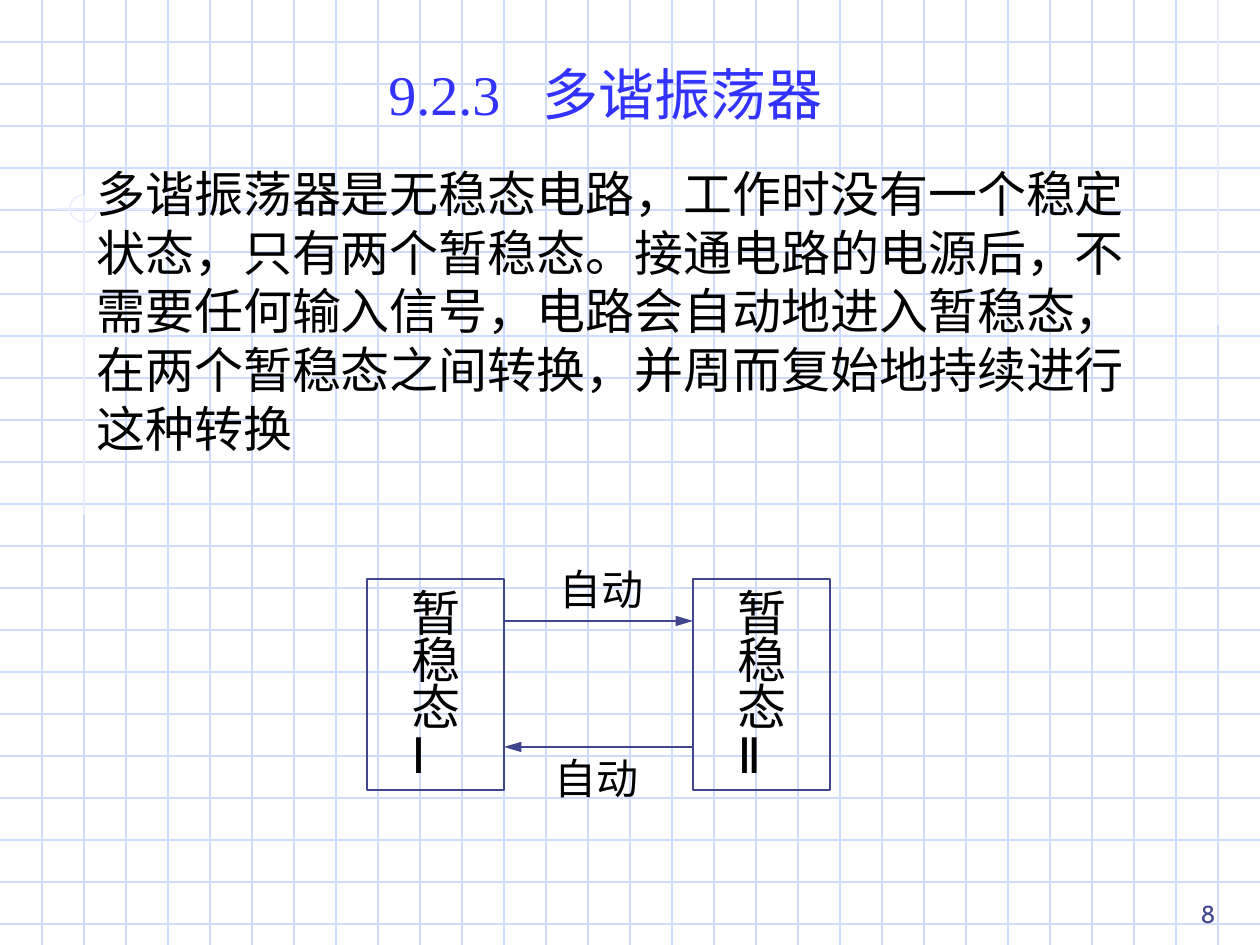
from dataclasses import dataclass

from lxml.etree import SubElement
from pptx import Presentation
from pptx.dml.color import RGBColor
from pptx.enum.shapes import MSO_CONNECTOR, MSO_SHAPE
from pptx.enum.text import MSO_ANCHOR, MSO_AUTO_SIZE, PP_ALIGN
from pptx.oxml.ns import qn
from pptx.util import Inches, Pt

PX = Inches(1) / 126
WIDTH, HEIGHT, STEP = 1260, 945, 42
COLORS = {"grid": "CFDBFD", "mark": "E8ECFE", "ink": "40458C",
          "title": "3333FF", "text": "000000"}
SANS, SERIF = "Cabin", "Times New Roman"


def px(*values):
    return [round(v * PX) for v in values]


@dataclass
class Sketch:
    slide: object

    def stroke(self, shape, color, weight):
        shape.line.color.rgb = RGBColor.from_string(COLORS[color])
        shape.line.width = Pt(weight)

    def line(self, x1, y1, x2, y2, color, arrow=False):
        s = self.slide.shapes.add_connector(MSO_CONNECTOR.STRAIGHT, *px(x1, y1, x2, y2))
        self.stroke(s, color, 0.75)
        if arrow:
            SubElement(s.line._get_or_add_ln(), qn("a:tailEnd"),
                       type="triangle", w="med", len="lg")
        SubElement(s._element.spPr, qn("a:effectLst"))

    def outline(self, kind, x, y, w, h, color, weight):
        s = self.slide.shapes.add_shape(kind, *px(x, y, w, h))
        s.shadow.inherit = False
        s.fill.background()
        self.stroke(s, color, weight)
        return s

    def text(self, text, x, y, w, h, size, font=SANS, color="text",
             align=None, anchor=MSO_ANCHOR.TOP, spacing=None, tab=None):
        tf = self.slide.shapes.add_textbox(*px(x, y, w, h)).text_frame
        tf.text = text
        tf.word_wrap = True
        tf.auto_size = MSO_AUTO_SIZE.NONE
        tf.vertical_anchor = anchor
        for p in tf.paragraphs:
            p.alignment = align
            p.line_spacing = spacing
            if tab:
                tabs = SubElement(p._p.get_or_add_pPr(), qn("a:tabLst"))
                SubElement(tabs, qn("a:tab"), pos=str(px(tab)[0]), algn="l")
            for r in p.runs:
                r.font.size = Pt(size)
                r.font.name = font
                r.font.color.rgb = RGBColor.from_string(COLORS[color])

    def background(self):
        for y in range(STEP, HEIGHT, STEP):
            self.line(0, y, WIDTH, y, "grid")
        for x in range(STEP, WIDTH, STEP):
            self.line(x, 0, x, HEIGHT, "grid")
        self.line(1218, 0, 1218, 325, "mark")
        self.line(302, 209, 57, 209, "mark")
        self.line(84, 195, 84, 515, "mark")
        arc = self.outline(MSO_SHAPE.ARC, 70, 195, 27, 27, "mark", 0.75)
        arc.adjustments[0] = 0
        arc.adjustments[1] = 162

    def state(self, x, numeral):
        self.outline(MSO_SHAPE.RECTANGLE, x, 579, 137, 211, "ink", 1.5)
        self.text("\n".join("暂稳态" + numeral), x + 32, 588, 80, 202, 28, spacing=0.8)


def main():
    prs = Presentation()
    prs.slide_width, prs.slide_height = px(WIDTH, HEIGHT)
    sketch = Sketch(prs.slides.add_slide(prs.slide_layouts[6]))

    sketch.background()
    sketch.text("9.2.3\t多谐振荡器", 376, 53, 480, 81, 32, SERIF, "title", tab=154)
    sketch.text("多谐振荡器是无稳态电路，工作时没有一个稳定状态，只有两个暂稳态。"
                "接通电路的电源后，不需要任何输入信号，电路会自动地进入暂稳态，"
                "在两个暂稳态之间转换，并周而复始地持续进行这种转换",
                84, 157, 1092, 307, 28)

    left, right = 367, 693
    sketch.state(left, "Ⅰ")
    sketch.state(right, "Ⅱ")
    sketch.line(left + 137, 621, right, 621, "ink", arrow=True)
    sketch.line(right, 747, left + 137, 747, "ink", arrow=True)
    for x, y in ((547, 557), (542, 746)):
        sketch.text("自动", x, y, 120, 63, 24, SERIF)

    sketch.text("8", 966, 872, 262, 63, 14, color="ink",
                align=PP_ALIGN.RIGHT, anchor=MSO_ANCHOR.BOTTOM)
    prs.save("out.pptx")


if __name__ == "__main__":
    main()
